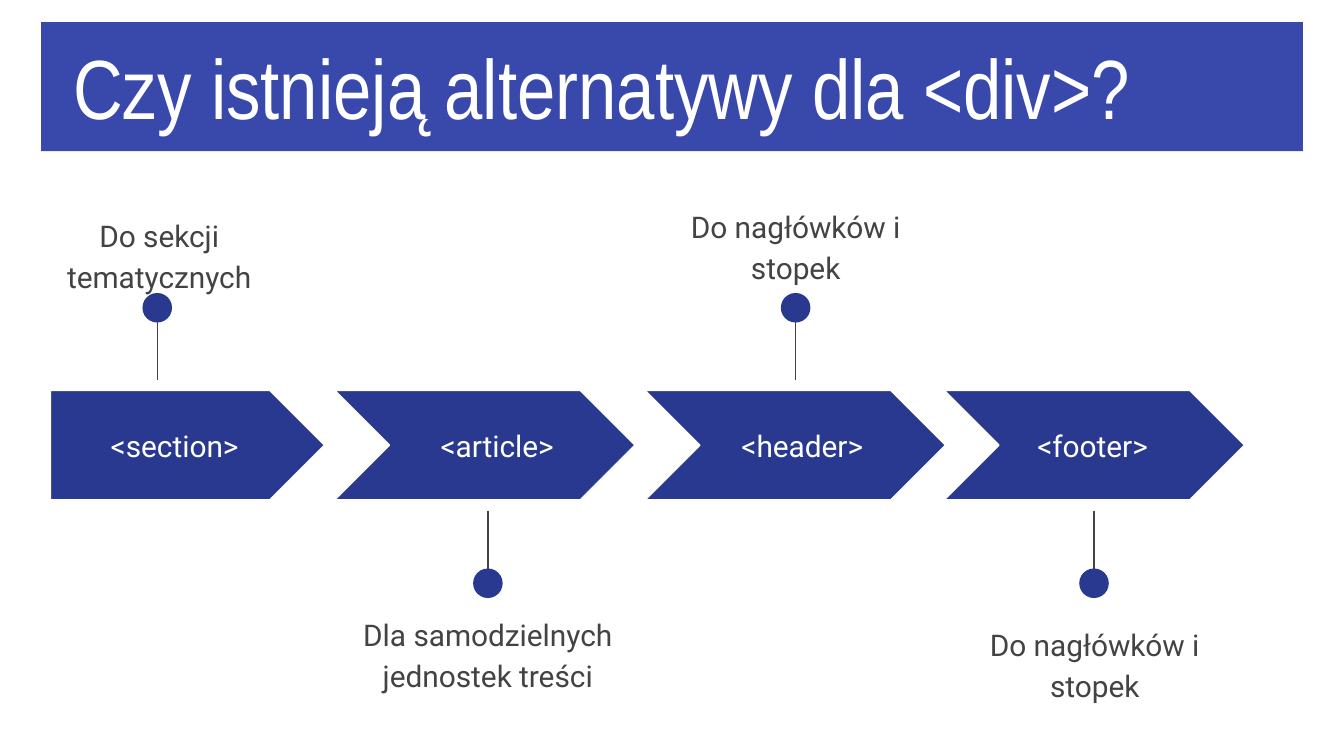
from dataclasses import dataclass

from lxml import etree
from pptx import Presentation, util as u
from pptx.dml.color import RGBColor
from pptx.enum import shapes, text
from pptx.oxml import ns


@dataclass(frozen=True)
class Theme:
    banner: str = "3949AB"
    accent: str = "2A3990"
    ink: str = "434343"
    paper: str = "FFFFFF"
    title_font: str = "Arial Narrow"
    body_font: str = "Roboto"
    title_size: float = 45
    body_size: float = 16
    line_width: float = 0.75


@dataclass(frozen=True)
class Step:
    tag: str
    note: str
    left: float
    width: float
    tag_center: float
    stem: float
    note_center: float
    note_top: float
    note_width: float
    above: bool


THEME = Theme()
COLUMNS, ROWS = 100, 56.25
CELL = u.Inches(10) // COLUMNS
ARROW_TOP, ARROW_HEIGHT = 29.05, 8.15
TAG_WIDTH, TAG_HEIGHT = 14.4, 5.1
NOTE_HEIGHT = 7.3
DOT, STEM_LENGTH = 2.2, 6.1

STEPS = [
    Step("<section>", "Do sekcji tematycznych", 3.75, 20.4, 13, 11.7, 11.85, 14.8, 16.3, True),
    Step("<article>", "Dla samodzielnych jednostek treści", 24.9, 22.35, 37, 36.3, 36.3, 44.5, 21.4, False),
    Step("<header>", "Do nagłówków i stopek", 48, 22.35, 59.7, 59.2, 59.2, 14.1, 17.9, True),
    Step("<footer>", "Do nagłówków i stopek", 70.25, 22.35, 81.3, 81.4, 81.45, 45.25, 17.9, False),
]


def grid(*cells):
    return [round(cell * CELL) for cell in cells]


def color(value):
    return RGBColor.from_string(value)


def write(shape, words, font=THEME.body_font, size=THEME.body_size, ink=THEME.ink,
          align=text.PP_ALIGN.CENTER, anchor=text.MSO_ANCHOR.TOP,
          spacing=1.0, after=0, indent=1):
    frame = shape.text_frame
    frame.word_wrap = True
    frame.auto_size = text.MSO_AUTO_SIZE.NONE
    frame.vertical_anchor = anchor
    frame.margin_left, frame.margin_right, frame.margin_top, frame.margin_bottom = grid(indent, 1, 1, 1)
    para = frame.paragraphs[0]
    para.alignment = align
    para.line_spacing = spacing
    para.space_before = u.Pt(0)
    para.space_after = u.Pt(after)
    span = para.add_run()
    span.text = words
    span.font.name = font
    span.font.size = u.Pt(size)
    span.font.color.rgb = color(ink)


def add_filled(page, kind, box, outline=None):
    shape = page.shapes.add_shape(kind, *grid(*box))
    shape.shadow.inherit = False
    shape.fill.solid()
    shape.fill.fore_color.rgb = color(THEME.accent)
    if outline:
        shape.line.color.rgb = color(outline)
        shape.line.width = u.Pt(THEME.line_width)
    else:
        shape.line.fill.background()
    return shape


def add_banner(page, box):
    title = page.shapes.title
    title.left, title.top, title.width, title.height = grid(*box)
    title.fill.solid()
    title.fill.fore_color.rgb = color(THEME.banner)
    write(title, "Czy istnieją alternatywy dla <div>?", font=THEME.title_font,
          size=THEME.title_size, ink=THEME.paper, align=text.PP_ALIGN.LEFT, indent=2.4)


def add_arrow(page, step, box, first):
    kind = shapes.MSO_SHAPE.PENTAGON if first else shapes.MSO_SHAPE.CHEVRON
    arrow = add_filled(page, kind, box, outline=THEME.paper)
    arrow.adjustments[0] = 0.5
    top = box[1] + (box[3] - TAG_HEIGHT) / 2
    tag = page.shapes.add_textbox(
        *grid(step.tag_center - TAG_WIDTH / 2, top, TAG_WIDTH, TAG_HEIGHT))
    write(tag, step.tag, ink=THEME.paper, anchor=text.MSO_ANCHOR.MIDDLE)


def add_pin(page, center, top, above):
    bottom = top + STEM_LENGTH
    stem = page.shapes.add_connector(
        shapes.MSO_CONNECTOR.STRAIGHT, *grid(center, top, center, bottom))
    stem.line.color.rgb = color(THEME.ink)
    stem.line.width = u.Pt(THEME.line_width)
    etree.SubElement(stem.element.spPr, ns.qn("a:effectLst"))
    dot_top = top - 0.4 if above else bottom - DOT + 0.4
    add_filled(page, shapes.MSO_SHAPE.OVAL, (center - DOT / 2, dot_top, DOT, DOT))


def add_note(page, words, box):
    note = page.shapes.add_textbox(*grid(*box))
    write(note, words, spacing=1.15, after=16)


def add_step(page, step, first):
    add_arrow(page, step, (step.left, ARROW_TOP, step.width, ARROW_HEIGHT), first)
    add_pin(page, step.stem, 22.2 if step.above else 38, step.above)
    add_note(page, step.note, (step.note_center - step.note_width / 2, step.note_top,
                               step.note_width, NOTE_HEIGHT))


def main():
    deck = Presentation()
    deck.slide_width, deck.slide_height = grid(COLUMNS, ROWS)
    page = deck.slides.add_slide(deck.slide_layouts.get_by_name("Title Only"))
    add_banner(page, (3.05, 1.65, 93.9, 9.6))
    for index, step in enumerate(STEPS):
        add_step(page, step, first=index == 0)
    deck.save("out.pptx")


if __name__ == "__main__":
    main()
